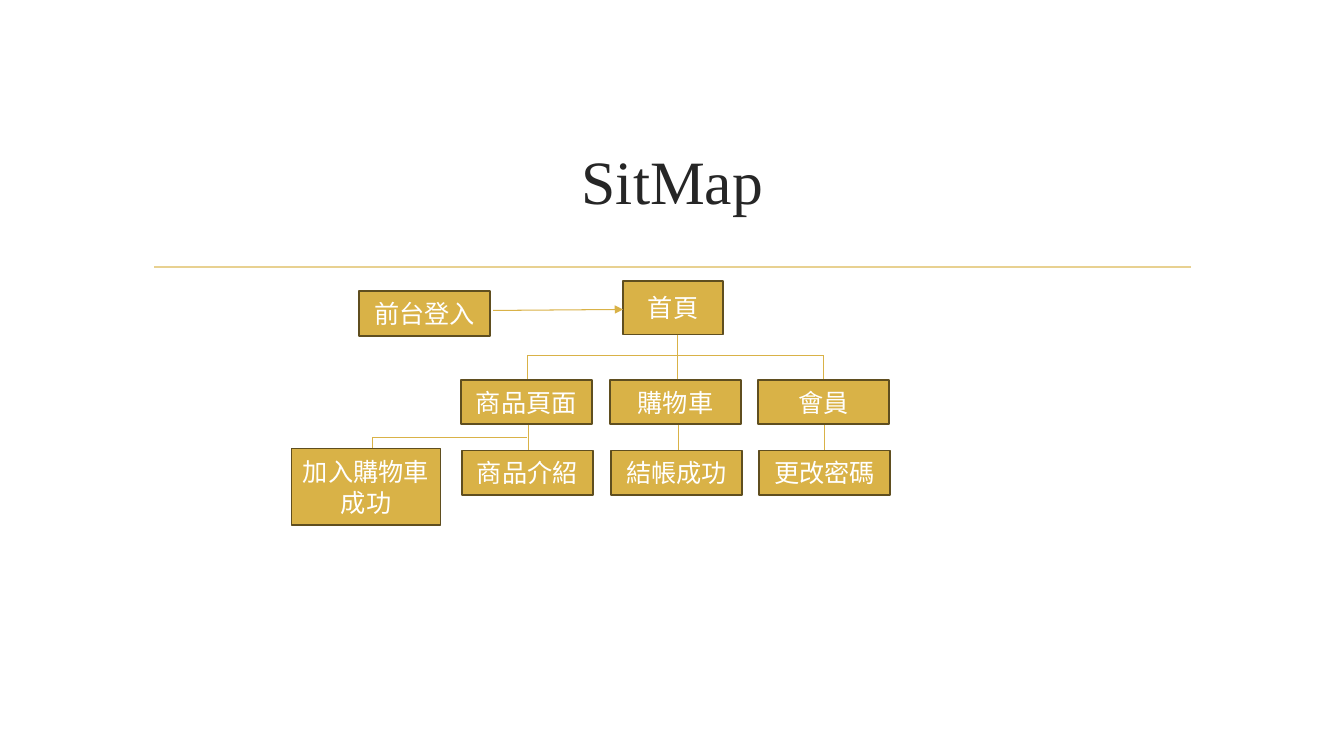
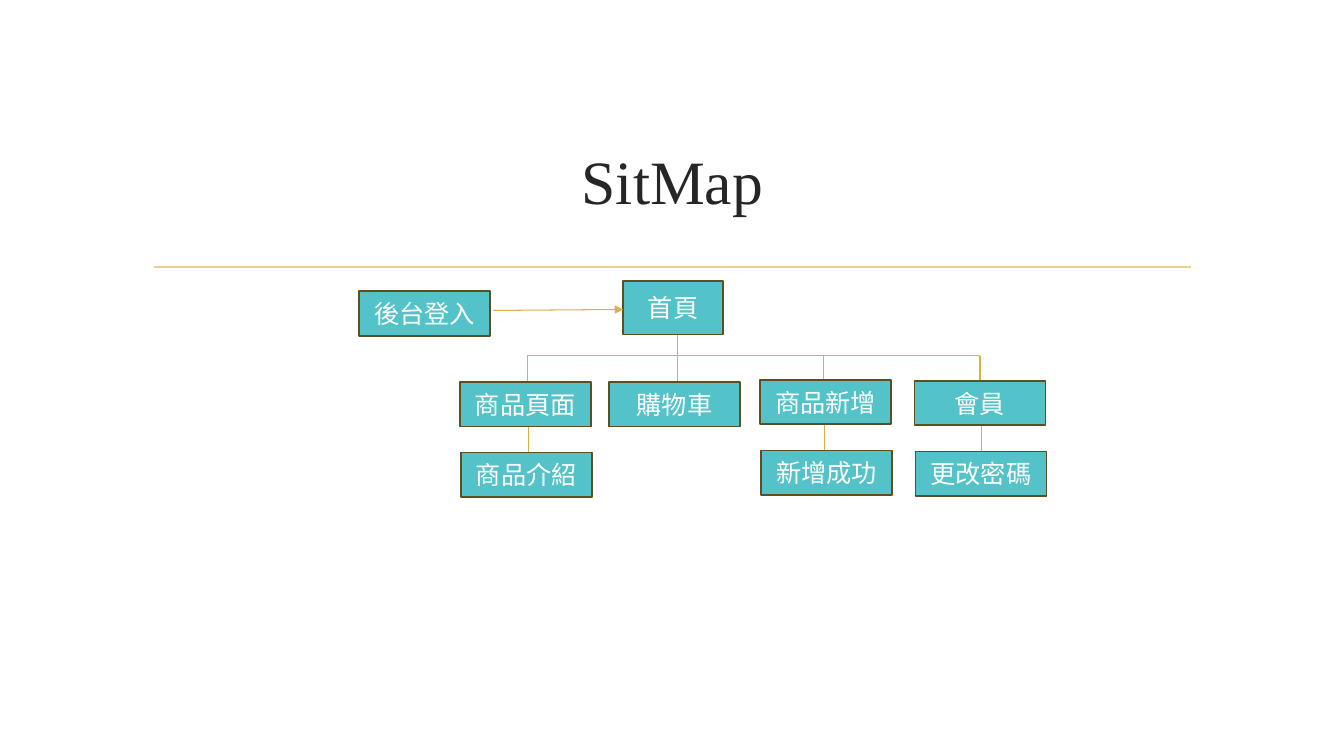
from lxml import etree
from pptx import Presentation
from pptx.dml.color import RGBColor
from pptx.enum.shapes import MSO_CONNECTOR, MSO_SHAPE
from pptx.enum.text import MSO_ANCHOR, PP_ALIGN
from pptx.oxml.ns import qn
from pptx.util import Pt

PX = 9144
FONT = "Times New Roman"
GOLD = RGBColor(0xD9, 0xB2, 0x47)
PALE = RGBColor(0xE8, 0xD1, 0x91)
TEAL = RGBColor(0x53, 0xC2, 0xC9)
BROWN = RGBColor(0x5F, 0x4E, 0x1F)
INK = RGBColor(0x26, 0x26, 0x26)
WHITE = RGBColor(0xFF, 0xFF, 0xFF)
RECT = MSO_SHAPE.RECTANGLE
STEP = MSO_SHAPE.FLOWCHART_PROCESS
LINE = MSO_CONNECTOR.STRAIGHT
CENTER = PP_ALIGN.CENTER
MIDDLE = MSO_ANCHOR.MIDDLE

TITLE = {"name": FONT, "size": Pt(44)}
LABEL = {"name": FONT, "size": Pt(18)}
FRAME = {"word_wrap": True, "vertical_anchor": MIDDLE}
BAR = 353
WIDE, HIGH = 130, 44

FRONT = [
    (457, 377, 523, "商品頁面", "商品介紹"),
    (605, 377, 672, "購物車", "結帳成功"),
    (752, 377, 817, "會員", "更改密碼"),
]
BACK = [
    (456, 379, 523, "商品頁面", "商品介紹"),
    (604, 379, 672, "購物車", None),
    (754, 377, 817, "商品新增", "新增成功"),
    (907, 378, 972, "會員", "更改密碼"),
]


def scale(*sizes):
    return [size * PX for size in sizes]


def apply(item, values):
    for key, value in values.items():
        setattr(item, key, value)


def write(shape, text, style, color):
    frame = shape.text_frame
    apply(frame, FRAME)
    para = frame.paragraphs[0]
    para.alignment = CENTER
    run = para.add_run()
    run.text = text
    apply(run.font, style)
    run.font.color.rgb = color


def box(slide, area, text, fill, kind=STEP):
    shape = slide.shapes.add_shape(kind, *scale(*area))
    shape.shadow.inherit = False
    shape.fill.solid()
    shape.fill.fore_color.rgb = fill
    shape.line.color.rgb = BROWN
    shape.line.width = Pt(1.25)
    write(shape, text, LABEL, WHITE)


def link(slide, start, end, color=GOLD, width=0.75, arrow=False):
    line = slide.shapes.add_connector(LINE, *scale(*start, *end))
    line.line.color.rgb = color
    line.line.width = Pt(width)
    props = line._element.spPr
    if arrow:
        etree.SubElement(props.find(qn("a:ln")), qn("a:tailEnd"), type="triangle")
    etree.SubElement(props, qn("a:effectLst"))


def branch(slide, fill, left, top, stem, page, child):
    link(slide, (stem, BAR), (stem, top - 1))
    box(slide, (left, top, WIDE, HIGH), page, fill)
    if child:
        link(slide, (stem + 1, top + 45), (stem + 1, top + 69))
        box(slide, (left + 1, top + 70, WIDE, HIGH), child, fill)


def sitemap(deck, login, fill, pages):
    slide = deck.slides.add_slide(deck.slide_layouts[6])
    link(slide, (153, 265), (1181, 265), PALE, 1.25)
    title = slide.shapes.add_textbox(*scale(142, 107, 1050, 143))
    write(title, "SitMap", TITLE, INK)
    box(slide, (618, 279, 99, 53), "首頁", fill, RECT)
    box(slide, (356, 289, WIDE, HIGH), login, fill)
    link(slide, (489, 308), (618, 307), arrow=True)
    link(slide, (672, 332), (672, BAR))
    link(slide, (pages[0][2], BAR), (pages[-1][2], BAR))
    for page in pages:
        branch(slide, fill, *page)
    return slide


def main():
    deck = Presentation()
    apply(deck, {"slide_width": 1333 * PX, "slide_height": 750 * PX})
    front = sitemap(deck, "前台登入", GOLD, FRONT)
    link(front, (369, 434), (523, 434))
    link(front, (369, 434), (369, 445))
    box(front, (289, 445, 148, 76), "加入購物車成功", GOLD)
    sitemap(deck, "後台登入", TEAL, BACK)
    deck.save("out.pptx")


if __name__ == "__main__":
    main()
